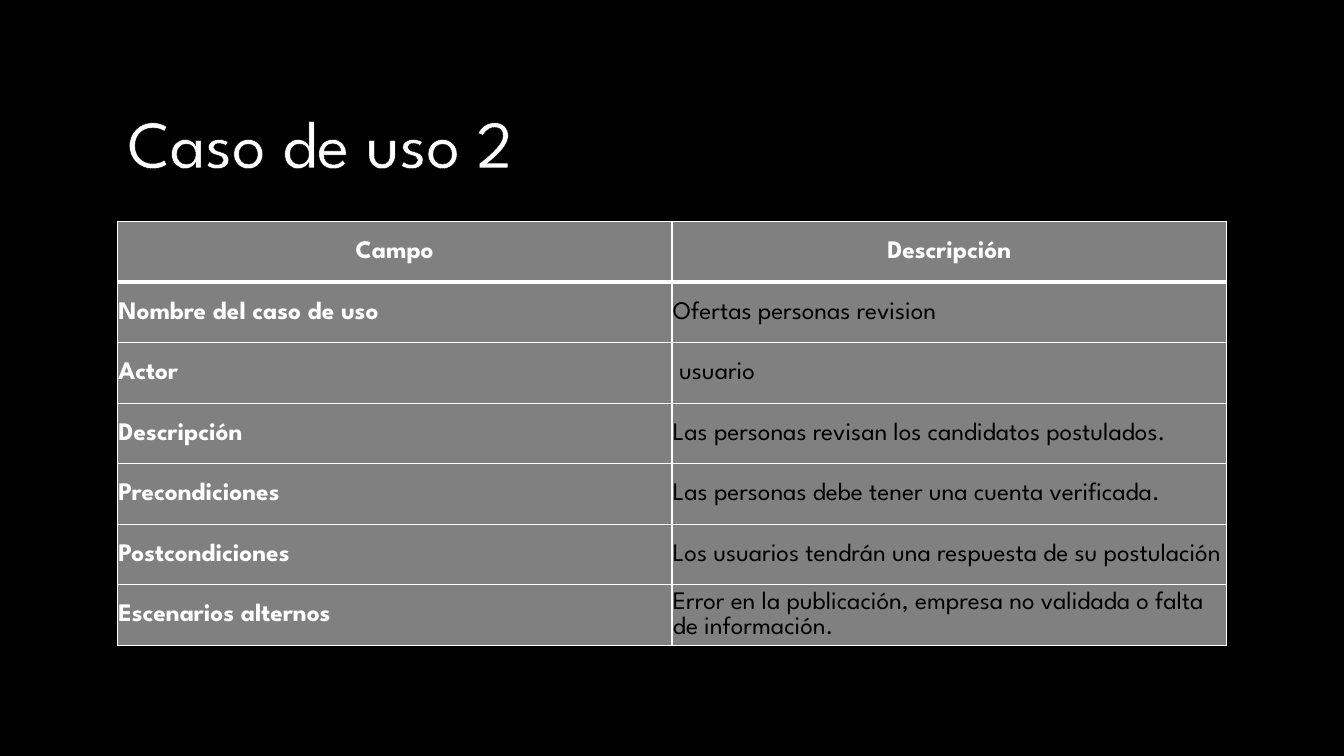
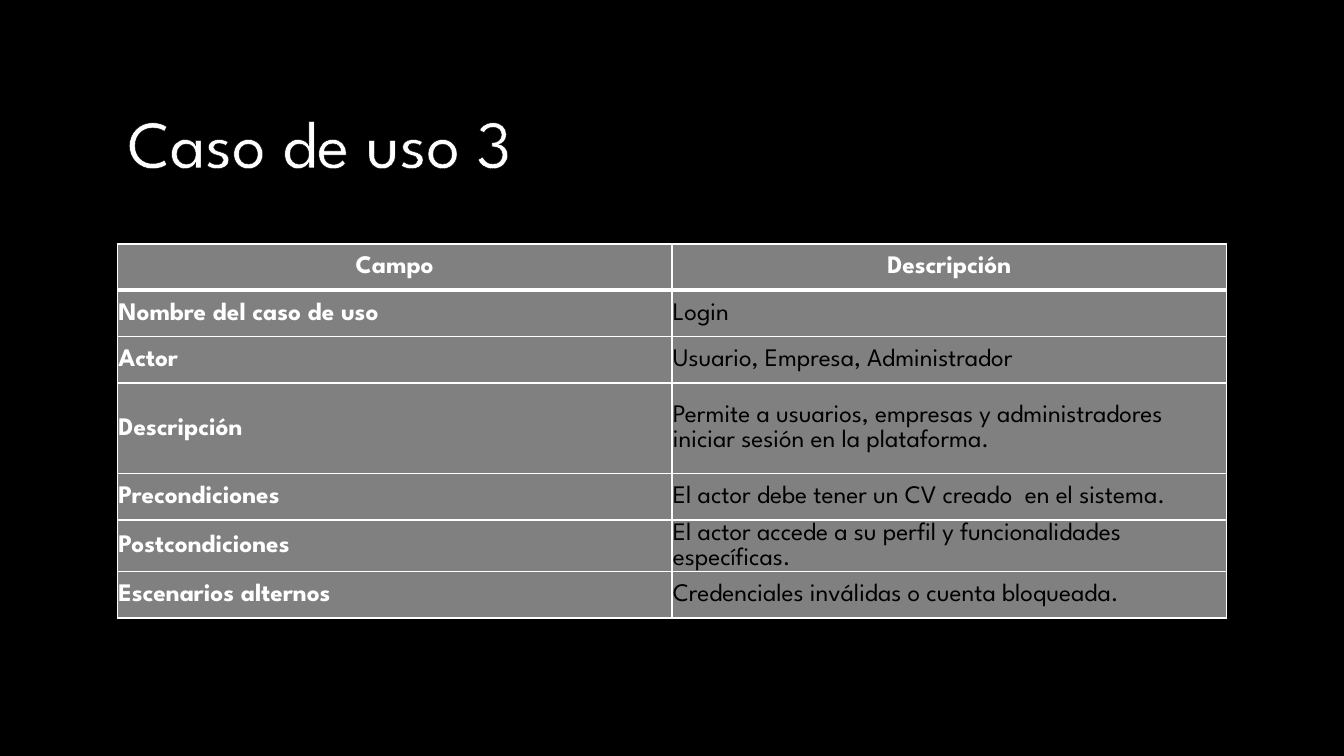
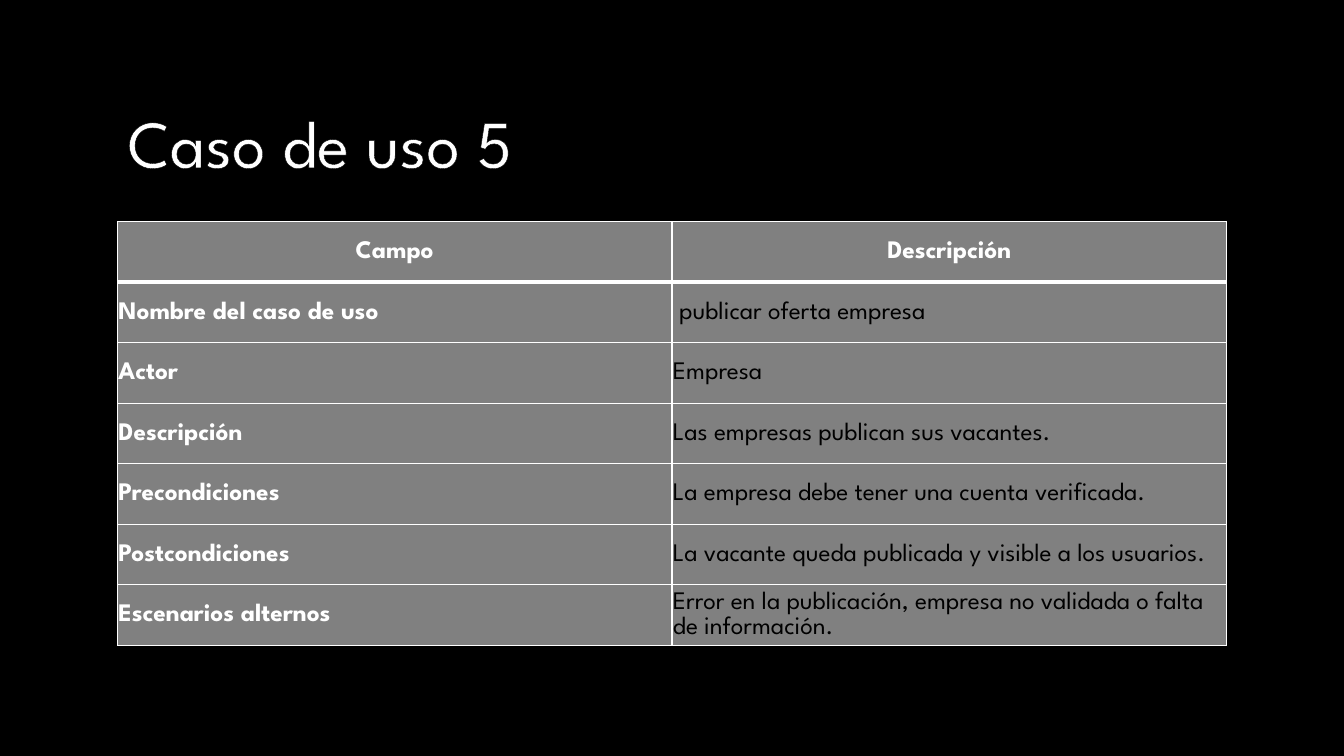
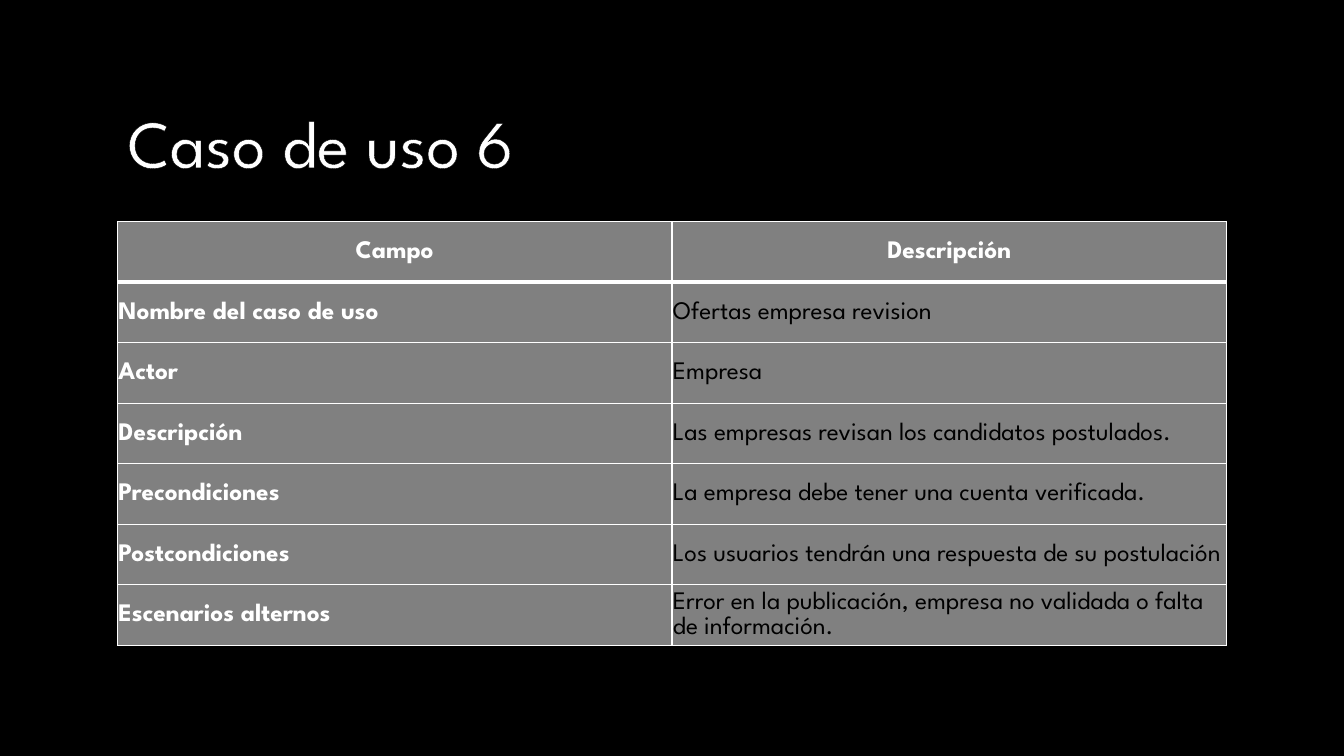
"""Build four use-case slides, each a title above a two-column table."""
from pptx import Presentation, util as u
from pptx.dml.color import RGBColor
from pptx.enum import text
from pptx.oxml import parse_xml
from pptx.oxml.ns import nsdecls

BLACK = RGBColor(0x00, 0x00, 0x00)
WHITE = RGBColor(0xFF, 0xFF, 0xFF)
GRAY = RGBColor(0x80, 0x80, 0x80)
FONT = "League Spartan"

HEADER = ("Campo", "Descripción")
FIELDS = ("Nombre del caso de uso", "Actor", "Descripción",
          "Precondiciones", "Postcondiciones", "Escenarios alternos")
PUBLISHING_ERROR = "Error en la publicación, empresa no validada o falta de información."
REPLY = "Los usuarios tendrán una respuesta de su postulación"
EVEN_ROWS = [0.6] * 7

USE_CASES = [
    {"number": 2, "top": 2.2, "rows": EVEN_ROWS, "answers": (
        "Ofertas personas revision",
        " usuario",
        "Las personas revisan los candidatos postulados.",
        "Las personas debe tener una cuenta verificada.",
        REPLY,
        PUBLISHING_ERROR)},
    {"number": 3, "top": 2.42, "rows": [0.46] * 3 + [0.9] + [0.46] * 3, "answers": (
        "Login",
        "Usuario, Empresa, Administrador",
        "Permite a usuarios, empresas y administradores iniciar sesión en la plataforma.",
        "El actor debe tener un CV creado  en el sistema.",
        "El actor accede a su perfil y funcionalidades específicas.",
        "Credenciales inválidas o cuenta bloqueada.")},
    {"number": 5, "top": 2.2, "rows": EVEN_ROWS, "answers": (
        " publicar oferta empresa",
        "Empresa",
        "Las empresas publican sus vacantes.",
        "La empresa debe tener una cuenta verificada.",
        "La vacante queda publicada y visible a los usuarios.",
        PUBLISHING_ERROR)},
    {"number": 6, "top": 2.2, "rows": EVEN_ROWS, "answers": (
        "Ofertas empresa revision",
        "Empresa",
        "Las empresas revisan los candidatos postulados.",
        "La empresa debe tener una cuenta verificada.",
        REPLY,
        PUBLISHING_ERROR)},
]

SLIDE_WIDTH, SLIDE_HEIGHT = u.Inches(13.33), u.Inches(7.5)
CONTENT_WIDTH = u.Inches(11)
MARGIN = (SLIDE_WIDTH - CONTENT_WIDTH) // 2

TITLE_PLACE = {"left": MARGIN, "top": u.Inches(0.7),
               "width": CONTENT_WIDTH, "height": u.Inches(1.5)}
TITLE_FRAME = {"vertical_anchor": text.MSO_ANCHOR.MIDDLE, "word_wrap": True,
               "auto_size": text.MSO_AUTO_SIZE.NONE}
TITLE_PARAGRAPH = {"alignment": text.PP_ALIGN.LEFT, "line_spacing": 0.9}
TITLE_FONT = {"name": FONT, "size": u.Pt(48), "bold": False}
CELL_FORMAT = {"vertical_anchor": text.MSO_ANCHOR.MIDDLE,
               **{f"margin_{side}": u.Inches(0.01)
                  for side in ("left", "right", "top", "bottom")}}
CELL_PARAGRAPH = {"line_spacing": 1.07, "space_after": u.Pt(8)}
CELL_FONT = {"name": FONT, "size": u.Pt(18)}
PLAIN_TABLE = {"first_row": False, "horz_banding": False}


def apply(target, formats):
    for name, value in formats.items():
        setattr(target, name, value)


def line_xml(tag, color, points):
    return parse_xml(
        f'<a:{tag} {nsdecls("a")} w="{u.Pt(points)}"><a:solidFill>'
        f'<a:srgbClr val="{color}"/></a:solidFill></a:{tag}>')


def add_title(slide, wording):
    title = slide.shapes.title
    apply(title, TITLE_PLACE)
    apply(title.text_frame, TITLE_FRAME)
    paragraph = title.text_frame.paragraphs[0]
    apply(paragraph, TITLE_PARAGRAPH)
    run = paragraph.add_run()
    run.text = wording
    apply(run.font, TITLE_FONT)
    run.font.color.rgb = WHITE
    run.font._element.insert(0, line_xml("ln", BLACK, 0.75))


def fill_cell(cell, wording, row, column):
    apply(cell, CELL_FORMAT)
    cell.fill.solid()
    cell.fill.fore_color.rgb = GRAY
    borders = {"lnL": 1, "lnR": 1, "lnT": 3 if row == 1 else 1, "lnB": 3 if row == 0 else 1}
    for place, (tag, points) in enumerate(borders.items()):
        cell._tc.get_or_add_tcPr().insert(place, line_xml(tag, WHITE, points))
    paragraph = cell.text_frame.paragraphs[0]
    apply(paragraph, CELL_PARAGRAPH)
    paragraph.alignment = text.PP_ALIGN.LEFT if row else text.PP_ALIGN.CENTER
    run = paragraph.add_run()
    run.text = wording
    is_label = row == 0 or column == 0
    apply(run.font, {**CELL_FONT, "bold": is_label})
    run.font.color.rgb = WHITE if is_label else BLACK


def add_use_case_table(slide, case):
    content = [HEADER, *zip(FIELDS, case["answers"])]
    table = slide.shapes.add_table(
        len(content), len(HEADER), MARGIN, u.Inches(case["top"]),
        CONTENT_WIDTH, u.Inches(sum(case["rows"]))).table
    apply(table, PLAIN_TABLE)
    for row, (wordings, height) in enumerate(zip(content, case["rows"])):
        table.rows[row].height = u.Inches(height)
        for column, wording in enumerate(wordings):
            fill_cell(table.cell(row, column), wording, row, column)


def main():
    deck = Presentation()
    apply(deck, {"slide_width": SLIDE_WIDTH, "slide_height": SLIDE_HEIGHT})
    backdrop = deck.slide_master.background.fill
    backdrop.solid()
    backdrop.fore_color.rgb = BLACK
    title_only = deck.slide_layouts.get_by_name("Title Only")
    for case in USE_CASES:
        slide = deck.slides.add_slide(title_only)
        add_title(slide, f"Caso de uso {case['number']}")
        add_use_case_table(slide, case)
    deck.save("out.pptx")


if __name__ == "__main__":
    main()
